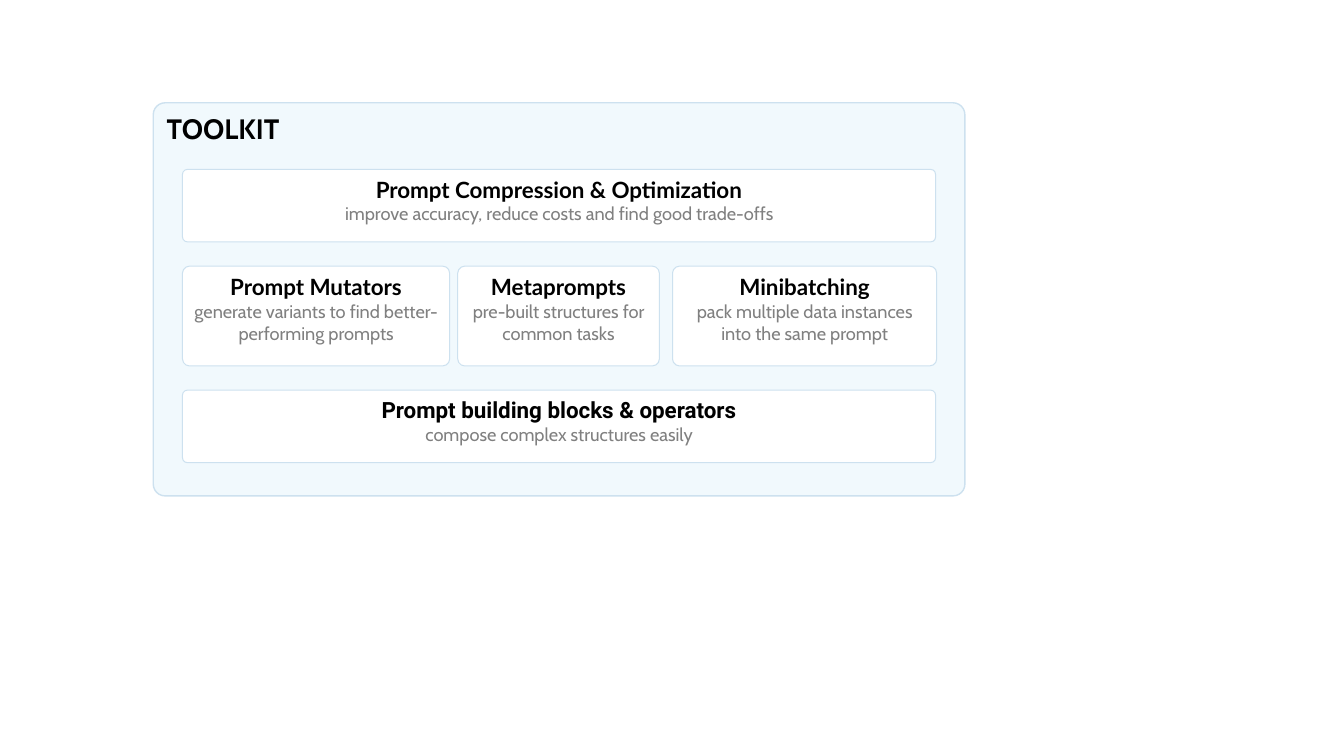
"""Build a slide showing the layers of a prompt framework as nested cards."""
import pptx
import pptx.dml.color
import pptx.enum.shapes
import pptx.enum.text
import pptx.util

COLORS = {"panel": "F1F9FD", "card": "FFFFFF", "edge": "CDE1EF",
          "heading": "000000", "detail": "808080"}
SLIDE_SIZE = (13.33, 7.5)
PANEL = (1.52, 1.02, 8.05, 3.9)
PANEL_TITLE = "TOOLKIT"
GRID_LEFT, GRID_TOP, ROW_GAP = 1.81, 1.68, 0.24
FULL_WIDTH = (0, 7.47)

# Each row: height, corner, then cards of (offset, width), heading, font, detail.
ROWS = [
    (0.72, 0.07, [
        (FULL_WIDTH, "Prompt Compression & Optimization", "Lato",
         "improve accuracy, reduce costs and find good trade-offs")]),
    (0.99, 0.07, [
        ((0, 2.65), "Prompt Mutators", "Lato",
         "generate variants to find better-performing prompts"),
        ((2.73, 2), "Metaprompts", "Lato",
         "pre-built structures for common tasks"),
        ((4.86, 2.62), "Minibatching", "Lato",
         "pack multiple data instances into the same prompt")]),
    (0.72, 0.07, [
        (FULL_WIDTH, "Prompt building blocks & operators", "Roboto",
         "compose complex structures easily")]),
]


def rgb(name):
    return pptx.dml.color.RGBColor.from_string(COLORS[name])


def add_box(page, bounds, corner, fill, line_width, side_inset, lines, align):
    box = page.shapes.add_shape(
        pptx.enum.shapes.MSO_SHAPE.ROUNDED_RECTANGLE,
        *(pptx.util.Inches(length) for length in bounds))
    box.adjustments[0] = corner
    box.shadow.inherit = False
    box.fill.solid()
    box.fill.fore_color.rgb = rgb(fill)
    box.line.color.rgb = rgb("edge")
    box.line.width = pptx.util.Pt(line_width)
    frame = box.text_frame
    frame.word_wrap = True
    frame.vertical_anchor = pptx.enum.text.MSO_ANCHOR.TOP
    frame.margin_left = frame.margin_right = pptx.util.Inches(side_inset)
    frame.text = "\n".join(line[0] for line in lines)
    for para, (_, font, size, color, bold) in zip(frame.paragraphs, lines):
        para.alignment = align
        for span in para.runs:
            span.font.name = font
            span.font.size = pptx.util.Pt(size)
            span.font.bold = bold
            span.font.color.rgb = rgb(color)


def main():
    deck = pptx.Presentation()
    deck.slide_width, deck.slide_height = map(pptx.util.Inches, SLIDE_SIZE)
    page = deck.slides.add_slide(deck.slide_layouts[6])
    alignments = pptx.enum.text.PP_ALIGN

    add_box(page, PANEL, 0.03, "panel", 1, 0.1,
            [(PANEL_TITLE, "Cabin", 20, "heading", True)], alignments.LEFT)

    top = GRID_TOP
    for height, corner, cards in ROWS:
        for (offset, width), heading, font, detail in cards:
            lines = [(heading, font, 16, "heading", True),
                     (detail, "Cabin", 13, "detail", False)]
            add_box(page, (GRID_LEFT + offset, top, width, height), corner,
                    "card", 0.75, 0.08, lines, alignments.CENTER)
        top += height + ROW_GAP

    deck.save("out.pptx")


if __name__ == "__main__":
    main()
